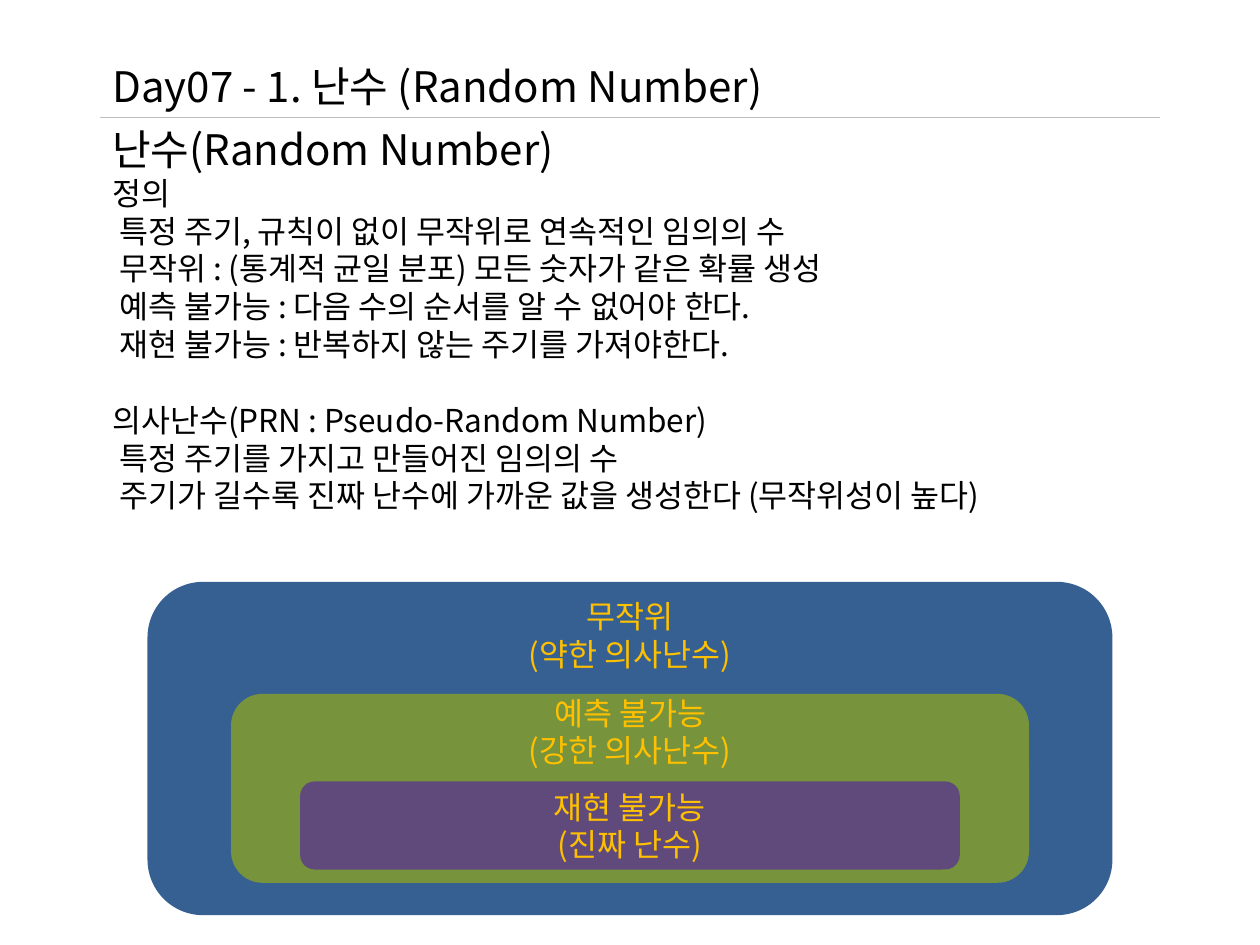
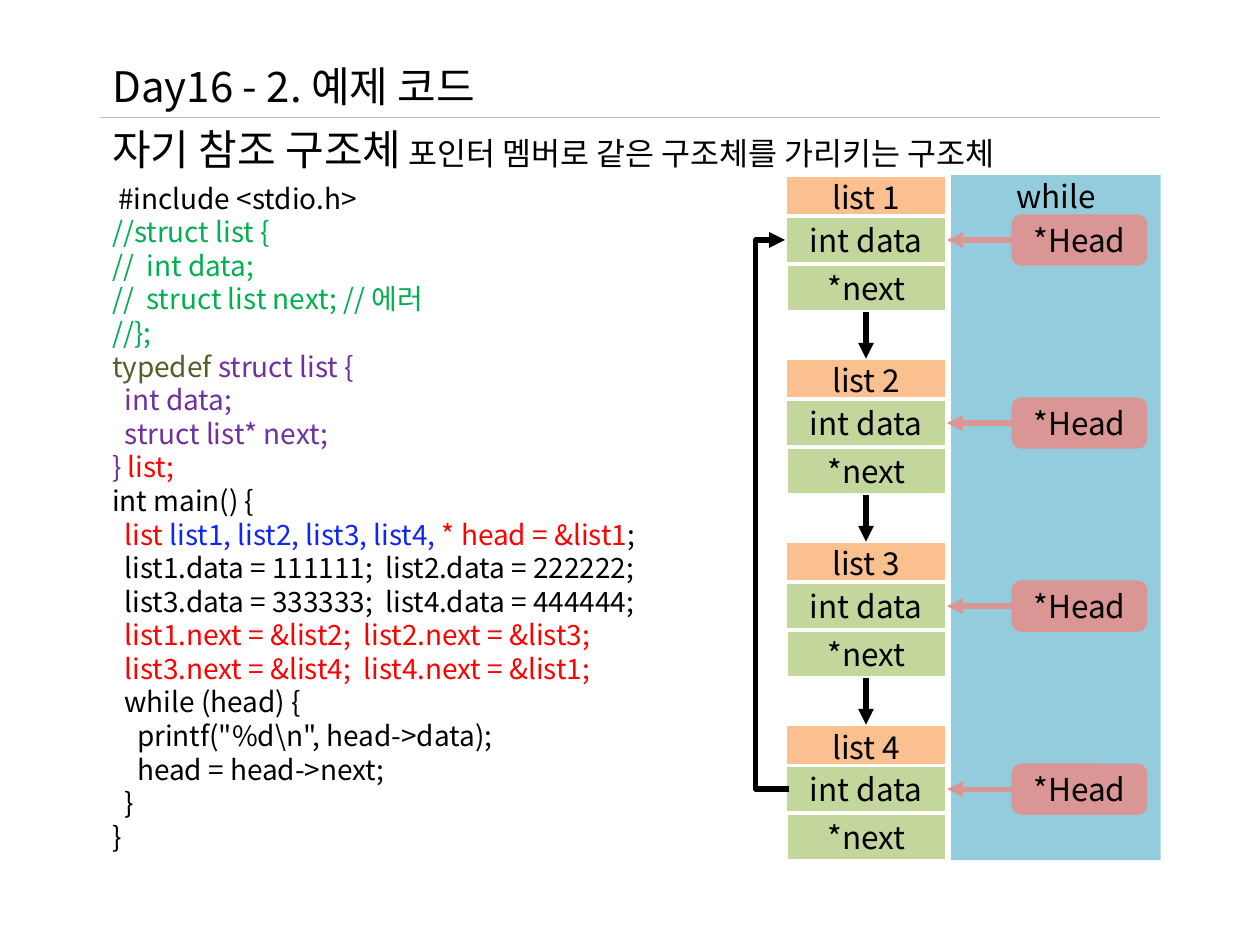
from dataclasses import dataclass

from lxml import etree
from pptx import Presentation
from pptx import util as u
from pptx.dml.color import RGBColor
from pptx.enum import shapes, text
from pptx.oxml.ns import qn


@dataclass(frozen=True)
class Theme:
    font: str = "Noto Sans CJK KR"
    heading: int = 24
    body: int = 18
    code: int = 16
    line: float = 21.7
    black: str = "000000"
    white: str = "FFFFFF"
    rule: str = "BFBFBF"
    navy: str = "376092"
    olive: str = "77933C"
    violet: str = "604A7B"
    gold: str = "FFC000"
    green: str = "00B050"
    moss: str = "4F6228"
    purple: str = "7030A0"
    red: str = "FF0000"
    blue: str = "0F25F5"
    sky: str = "93CDDD"
    peach: str = "FAC090"
    lime: str = "C3D69B"
    rose: str = "D99694"


T = Theme()
PT = u.Pt
LEFT, WIDTH, RULE_Y = 57, 607, 67


def write(sp, paragraphs, size=T.body, color=T.black, align=text.PP_ALIGN.LEFT,
          anchor=text.MSO_ANCHOR.TOP, indent=0, before=0, bottom=3.6, more=False):
    tf = sp.text_frame
    tf.word_wrap = True
    tf.auto_size = text.MSO_AUTO_SIZE.NONE
    tf.vertical_anchor = anchor
    tf.margin_top, tf.margin_bottom = PT(3.6 if bottom == 3.6 else 0), PT(bottom)
    for i, runs in enumerate(paragraphs):
        p = tf.add_paragraph() if more or i else tf.paragraphs[0]
        p.alignment = align
        if indent:
            p._p.get_or_add_pPr().set("marL", str(PT(indent)))
        if before and i == 0:
            p.space_before = PT(before)
        for run in [(runs,)] if isinstance(runs, str) else runs:
            content, run_color, run_size = (*run, None, None)[:3]
            r = p.add_run()
            r.text = content
            r.font.size = PT(run_size or size)
            r.font.name = T.font
            r.font.color.rgb = RGBColor.from_string(run_color or color)
            etree.SubElement(r._r.get_or_add_rPr(), qn("a:ea"), typeface=T.font)


def draw(s, kind, box, fill=None, color=T.rule, width=0.75, arrow=False):
    if fill:
        sp = s.shapes.add_shape(kind, *map(PT, box))
        sp.shadow.inherit = False
        sp.fill.solid()
        sp.fill.fore_color.rgb = RGBColor.from_string(fill)
    else:
        sp = s.shapes.add_connector(kind, *map(PT, box))
    if color:
        sp.line.color.rgb = RGBColor.from_string(color)
        sp.line.width = PT(width)
    else:
        sp.line.fill.background()
    if arrow:
        etree.SubElement(sp.line._get_or_add_ln(), qn("a:tailEnd"), type="triangle")
    if not fill:
        etree.SubElement(sp._element.spPr, qn("a:effectLst"))
    return sp


RECT, ROUND = shapes.MSO_SHAPE.RECTANGLE, shapes.MSO_SHAPE.ROUNDED_RECTANGLE
STRAIGHT, ELBOW = shapes.MSO_CONNECTOR.STRAIGHT, shapes.MSO_CONNECTOR.ELBOW
CENTRED = dict(align=text.PP_ALIGN.CENTER, anchor=text.MSO_ANCHOR.MIDDLE)

prs = Presentation()
prs.slide_width, prs.slide_height = PT(720), PT(540)
slides = []
for heading in ("Day07 - 1. 난수 (Random Number)", "Day16 - 2. 예제 코드"):
    s = prs.slides.add_slide(prs.slide_layouts[5])
    title = s.shapes.title
    title.left, title.top, title.width, title.height = map(PT, (LEFT, 31, WIDTH, 36))
    write(title, [heading], size=T.heading)
    draw(s, STRAIGHT, (LEFT, RULE_Y, 663, RULE_Y))
    slides.append(s)
random_slide, list_slide = slides

s = random_slide
definition = s.shapes.add_textbox(*map(PT, (LEFT, RULE_Y, WIDTH, 276)))
write(definition, ["난수(Random Number)"], size=T.heading)
write(definition, ["정의"], more=True)
write(definition, [
    "특정 주기, 규칙이 없이 무작위로 연속적인 임의의 수",
    "무작위 : (통계적 균일 분포) 모든 숫자가 같은 확률 생성",
    "예측 불가능 : 다음 수의 순서를 알 수 없어야 한다.",
    "재현 불가능 : 반복하지 않는 주기를 가져야한다.",
], indent=4, more=True)
write(definition, ["의사난수(PRN : Pseudo-Random Number)"], before=T.line, more=True)
write(definition, [
    "특정 주기를 가지고 만들어진 임의의 수",
    "주기가 길수록 진짜 난수에 가까운 값을 생성한다 (무작위성이 높다)",
], indent=4, more=True)

for box, fill, lines, lines_below in (
    ((84.3, 332.5, 551.4, 190.5), T.navy, ["무작위", "(약한 의사난수)"], 6),
    ((132, 396.5, 456, 108), T.olive, ["예측 불가능", "(강한 의사난수)"], 3),
    ((171.5, 446.5, 377, 50.4), T.violet, ["재현 불가능", "(진짜 난수)"], 0),
):
    level = draw(s, ROUND, box, fill, color=None)
    write(level, lines, color=T.gold, bottom=lines_below * T.line, **CENTRED)

s = list_slide
subject = s.shapes.add_textbox(*map(PT, (LEFT, RULE_Y, WIDTH, 36)))
write(subject, [[("자기 참조 구조체", T.black, T.heading),
                 (" 포인터 멤버로 같은 구조체를 가리키는 구조체",)]])

code = s.shapes.add_textbox(*map(PT, (LEFT, 100, 400, 395)))
write(code, [
    " #include <stdio.h>",
    [("//struct list {", T.green)],
    [("//  int data;", T.green)],
    [("//  struct list next; // 에러", T.green)],
    [("//};", T.green)],
    [("typedef ", T.moss), ("struct list {", T.purple)],
    [("  int data;", T.purple)],
    [("  struct list* next;", T.purple)],
    [("} ", T.purple), ("list;", T.red)],
    "int main() {",
    [("  list ", T.red), ("list1, list2, list3, list4, ", T.blue),
     ("* head = &list1", T.red), (";",)],
    "  list1.data = 111111;  list2.data = 222222;",
    "  list3.data = 333333;  list4.data = 444444;",
    [("  list1.next = &list2;  list2.next = &list3;", T.red)],
    [("  list3.next = &list4;  list4.next = &list1;", T.red)],
    "  while (head) {",
    "    printf(\"%d\\n\", head->data);",
    "    head = head->next;",
    "  }",
    "}",
], size=T.code)

loop_panel = draw(s, RECT, (543.5, 100, 119.7, 391.5), T.sky, color=None)
write(loop_panel, ["while"], bottom=367.5, **CENTRED)

NODE_X, NODE_Y, NODE_W, NODE_H, PITCH, CELL_H = 448.6, 100.3, 92.6, 77.8, 104.6, 27.3
nodes, data_cells = [], []
for i in range(4):
    y = NODE_Y + i * PITCH
    node = draw(s, RECT, (NODE_X, y, NODE_W, NODE_H), T.peach, T.white, 2)
    write(node, [f"list {i + 1}"], bottom=53, **CENTRED)
    data_y = y + NODE_H - 2 * CELL_H
    next_cell = draw(s, RECT, (NODE_X + 0.4, data_y + CELL_H, NODE_W - 0.4, CELL_H),
                     T.lime, T.white, 2)
    write(next_cell, ["*next"], **CENTRED)
    data = draw(s, RECT, (NODE_X, data_y, NODE_W, CELL_H), T.lime, T.white, 2)
    write(data, ["int data"], **CENTRED)
    head = draw(s, ROUND, (579, data_y, 75.6, CELL_H), T.rose, T.rose, 2)
    write(head, ["*Head"], **CENTRED)
    pointer = draw(s, STRAIGHT, (0, 0, 0, 0), color=T.rose, width=3, arrow=True)
    pointer.begin_connect(head, 1)
    pointer.end_connect(data, 3)
    nodes.append(node)
    data_cells.append(data)

for upper, lower in zip(nodes, nodes[1:]):
    link = draw(s, STRAIGHT, (0, 0, 0, 0), color=T.black, width=3, arrow=True)
    link.begin_connect(upper, 2)
    link.end_connect(lower, 0)

first_y, last_y = ((c.top + c.height / 2) / PT(1) for c in (data_cells[0], data_cells[-1]))
back_link = draw(s, ELBOW, (NODE_X + 2, last_y, NODE_X, first_y),
                 color=T.black, width=3, arrow=True)
guides = back_link._element.spPr.find(qn("a:prstGeom")).get_or_add_avLst()
etree.SubElement(guides, qn("a:gd"), name="adj1", fmla="val 930000")

prs.save("out.pptx")
